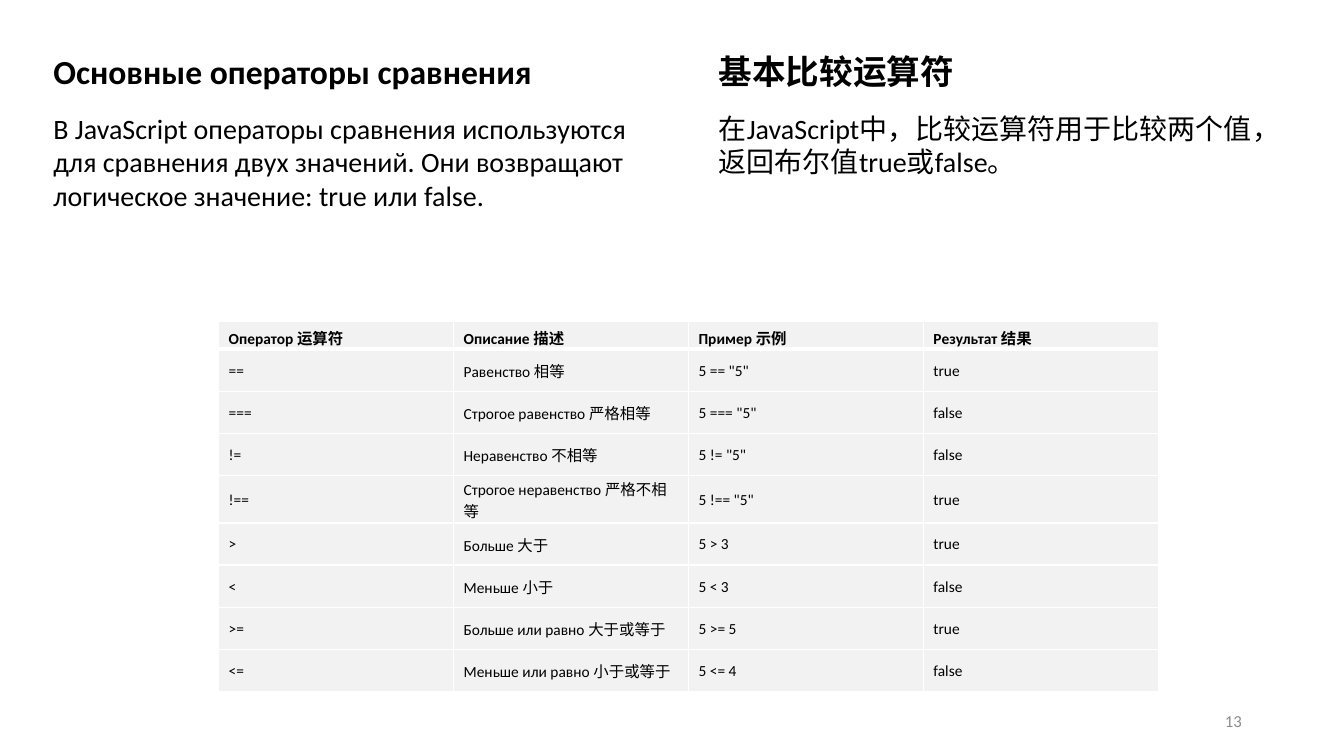
from dataclasses import dataclass

import lxml.etree
import pptx
import pptx.dml.color
import pptx.enum.text
import pptx.oxml.ns
import pptx.util
from pptx.util import Cm

BLACK = pptx.dml.color.RGBColor(0x00, 0x00, 0x00)
GREY = pptx.dml.color.RGBColor(0x8C, 0x8C, 0x8C)
PALE = pptx.dml.color.RGBColor(0xF2, 0xF2, 0xF2)
WHITE = pptx.dml.color.RGBColor(0xFF, 0xFF, 0xFF)

HEADING = {"name": "Calibri", "size": pptx.util.Pt(24), "bold": True}
BODY = {"name": "Calibri", "size": pptx.util.Pt(20), "bold": False}
CELL = {"name": "Calibri", "size": pptx.util.Pt(11), "bold": False}
HEADER = CELL | {"bold": True}
NUMBER = {"name": "Calibri", "size": pptx.util.Pt(12)}


@dataclass
class Column:
    """Heading and explanation in one language."""
    left: float
    width: float
    height: float
    heading: str
    body: str


@dataclass
class Operator:
    """One row of the operator table, with its height in centimetres."""
    sign: str
    description: str
    example: str
    result: str
    height: float = 1.06


COLUMNS = [
    Column(1.09, 16.18, 5.44, "Основные операторы сравнения",
           "В JavaScript операторы сравнения используются для сравнения двух значений. "
           "Они возвращают логическое значение: true или false."),
    Column(17.86, 14.12, 3.63, "基本比较运算符",
           "在JavaScript中，比较运算符用于比较两个值，返回布尔值true或false。"),
]

OPERATORS = [
    Operator("Оператор 运算符", "Описание 描述", "Пример 示例", "Результат 结果", 0.7),
    Operator("==", "Равенство 相等", '5 == "5"', "true"),
    Operator("===", "Строгое равенство 严格相等", '5 === "5"', "false"),
    Operator("!=", "Неравенство 不相等", '5 != "5"', "false"),
    Operator("!==", "Строгое неравенство 严格不相等", '5 !== "5"', "true", 1.2),
    Operator(">", "Больше 大于", "5 > 3", "true"),
    Operator("<", "Меньше 小于", "5 < 3", "false"),
    Operator(">=", "Больше или равно 大于或等于", "5 >= 5", "true"),
    Operator("<=", "Меньше или равно 小于或等于", "5 <= 4", "false"),
]


def write(para, text: str, style: dict, color=BLACK) -> None:
    """Add one formatted span to a paragraph."""
    span = para.add_run()
    span.text = text
    for name, value in style.items():
        setattr(span.font, name, value)
    span.font.color.rgb = color


def draw_column(box, column: Column) -> None:
    """Fill a body placeholder with a heading and plain text."""
    box.left, box.top = Cm(column.left), Cm(1.15)
    box.width, box.height = Cm(column.width), Cm(column.height)
    frame = box.text_frame
    frame.word_wrap = True
    frame.auto_size = pptx.enum.text.MSO_AUTO_SIZE.SHAPE_TO_FIT_TEXT
    frame.vertical_anchor = pptx.enum.text.MSO_ANCHOR.TOP
    lines = [(frame.paragraphs[0], column.heading, HEADING, 14.4),
             (frame.add_paragraph(), column.body, BODY, 0)]
    for para, text, style, after in lines:
        properties = para._p.get_or_add_pPr()
        properties.set("marL", "0")
        properties.set("indent", "0")
        lxml.etree.SubElement(properties, pptx.oxml.ns.qn("a:buNone"))
        para.space_before = pptx.util.Pt(0)
        para.space_after = pptx.util.Pt(after)
        write(para, text, style)


def set_borders(cell, widths: dict[str, int]) -> None:
    """Draw white cell borders, with widths in points by side."""
    properties = cell._tc.get_or_add_tcPr()
    for index, (side, width) in enumerate(widths.items()):
        line = lxml.etree.Element(pptx.oxml.ns.qn(f"a:ln{side}"), w=str(pptx.util.Pt(width)))
        fill = lxml.etree.SubElement(line, pptx.oxml.ns.qn("a:solidFill"))
        lxml.etree.SubElement(fill, pptx.oxml.ns.qn("a:srgbClr"), val=str(WHITE))
        properties.insert(index, line)


def draw_table(page, operators: list[Operator]) -> None:
    """Draw the operator table with its header row."""
    height = sum(operator.height for operator in operators)
    frame = page.shapes.add_table(len(operators), 4, Cm(5.51), Cm(8.1), Cm(23.68), Cm(height))
    table = frame.table
    for column in table.columns:
        column.width = Cm(5.92)
    for row_index, operator in enumerate(operators):
        table.rows[row_index].height = Cm(operator.height)
        texts = (operator.sign, operator.description, operator.example, operator.result)
        for column_index, text in enumerate(texts):
            cell = table.cell(row_index, column_index)
            cell.margin_top, cell.margin_bottom = Cm(0.03 if row_index else 0.12), Cm(0)
            cell.vertical_anchor = pptx.enum.text.MSO_ANCHOR.MIDDLE
            cell.fill.solid()
            cell.fill.fore_color.rgb = PALE
            set_borders(cell, {"L": 1, "R": 1, "T": 3 if row_index == 1 else 1,
                               "B": 1 if row_index else 3})
            write(cell.text_frame.paragraphs[0], text, CELL if row_index else HEADER)


def draw_page_number(page, number: str) -> None:
    """Put the page number at the bottom right."""
    box = page.shapes.add_textbox(Cm(23.93), Cm(17.65), Cm(7.62), Cm(1.02))
    box.text_frame.word_wrap = True
    box.text_frame.vertical_anchor = pptx.enum.text.MSO_ANCHOR.MIDDLE
    para = box.text_frame.paragraphs[0]
    para.alignment = pptx.enum.text.PP_ALIGN.RIGHT
    write(para, number, NUMBER, GREY)


def main() -> None:
    deck = pptx.Presentation()
    deck.slide_width, deck.slide_height = Cm(33.87), Cm(19.05)
    page = deck.slides.add_slide(deck.slide_layouts.get_by_name("Two Content"))

    # Two language columns; each carries its own heading
    title, *bodies = page.placeholders
    title.element.getparent().remove(title.element)
    for box, column in zip(bodies, COLUMNS):
        draw_column(box, column)

    # Operator table and page number
    draw_table(page, OPERATORS)
    draw_page_number(page, "13")
    deck.save("out.pptx")


if __name__ == "__main__":
    main()
